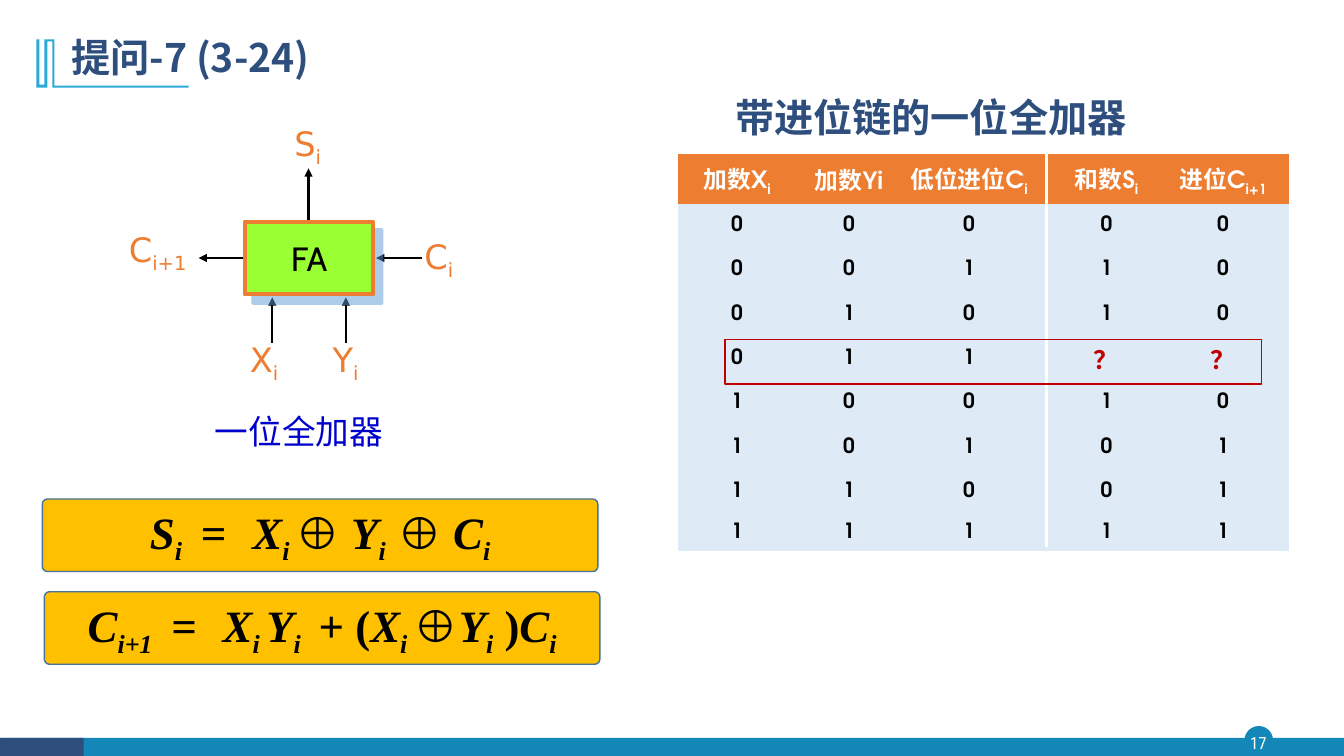
from dataclasses import dataclass

from lxml import etree
from pptx import Presentation
from pptx.dml.color import RGBColor
from pptx.enum.shapes import MSO_CONNECTOR, MSO_SHAPE
from pptx.enum.text import MSO_ANCHOR, MSO_AUTO_SIZE, PP_ALIGN
from pptx.oxml.ns import qn
from pptx.util import Inches, Pt

RECT, ROUNDED, OVAL = MSO_SHAPE.RECTANGLE, MSO_SHAPE.ROUNDED_RECTANGLE, MSO_SHAPE.OVAL
LEFT, CENTER = PP_ALIGN.LEFT, PP_ALIGN.CENTER
TOP, MIDDLE = MSO_ANCHOR.TOP, MSO_ANCHOR.MIDDLE


@dataclass(frozen=True)
class Theme:
    navy: str = "2E4E7E"
    teal: str = "1387B7"
    cyan: str = "28A9D6"
    orange: str = "ED7D31"
    green: str = "99FF33"
    gold: str = "FFC000"
    gold_edge: str = "43739E"
    pale: str = "DEEBF7"
    red: str = "C00000"
    blue: str = "0000CC"
    shadow: str = "5B9BD5"
    black: str = "000000"
    white: str = "FFFFFF"
    cjk: str = "Noto Sans CJK SC"
    signal: str = "DejaVu Sans"
    adder: str = "Cabin"
    formula: str = "Times New Roman"
    table: str = "TeX Gyre Adventor"
    number: str = "Roboto Condensed"
    title_size: int = 28
    formula_size: int = 32
    label_size: int = 24
    unknown_size: int = 18
    header_size: int = 17
    cell_size: int = 15
    number_size: int = 12


T = Theme()

# Content: "_" marks a subscript, "^" upright text, "~" loosely spaced text
QUESTION = "提问-7 (3-24)"
TITLE = "带进位链的一位全加器"
CAPTION = "一位全加器"
ADDER = "FA"
PAGE = "17"
SIGNALS = [  # pieces, left, top
    (["S", "_i"], 2.82, 1.17),
    (["X", "_i"], 2.38, 3.31),
    (["Y", "_i"], 3.2, 3.31),
    (["C", "_i"], 4.11, 2.29),
    (["C", "_i+1"], 1.18, 2.22),
]
ARROWS = [  # start, tip
    ((4.19, 2.56), (3.73, 2.56)),
    ((2.43, 2.56), (1.97, 2.56)),
    ((2.7, 3.4), (2.7, 2.95)),
    ((3.43, 3.4), (3.43, 2.95)),
    ((3.06, 2.2), (3.06, 1.67)),
]
FORMULAS = [  # pieces, left, top
    (["S", "_i", "~ = ", "X", "_i ", "^⊕", " Y", "_i", "^ ⊕", " C", "_i"], 0.42, 4.95),
    (["C", "_i+1", "~ = ", "X", "_i ", "Y", "_i ", "^ + (", "X", "_i ", "^⊕",
      "Y", "_i", "^ )", "C", "_i"], 0.44, 5.87),
]
HEADERS = [["加数X", "_i"], ["加数Yi"], ["低位进位C", "_i"], ["和数S", "_i"], ["进位C", "_i+1"]]
TRUTH = ["00000", "00110", "01010", "011？？", "10010", "10101", "11001", "11111"]
COLUMN_EDGES = [6.72, 7.9, 8.94, 10.38, 11.57, 12.79]
ROW_HEIGHTS = [0.49] + [0.44] * 7 + [0.37]
TABLE_TOP = 1.53
BRACKET = [(0.54, 0.39), (0.54, 0.85), (1.87, 0.85), (1.87, 0.87), (0.52, 0.87), (0.52, 0.41),
           (0.47, 0.41), (0.47, 0.87), (0.36, 0.87), (0.36, 0.39), (0.39, 0.39), (0.39, 0.84),
           (0.44, 0.84), (0.44, 0.39)]

prs = Presentation()
prs.slide_width, prs.slide_height = Inches(13.33), Inches(7.5)
slide = prs.slides.add_slide(prs.slide_layouts[5])
shapes = slide.shapes


def rgb(value):
    return RGBColor.from_string(value)


def write(frame, pieces, size, color, face, bold=False, italic=False, align=CENTER):
    paragraph = frame.paragraphs[0]
    paragraph.alignment = align
    for piece in pieces:
        mark = piece[0] if piece[0] in "_^~" else ""
        run = paragraph.add_run()
        run.text = piece[len(mark):]
        run.font.size, run.font.name = Pt(size), face
        run.font.bold, run.font.italic = bold, italic and mark != "^"
        run.font.color.rgb = rgb(color)
        props = run.font._element
        if mark == "_":
            props.set("baseline", "-25000")
        if mark == "~":
            props.set("spc", "530")
        if face != T.formula:
            east_asian = etree.Element(qn("a:ea"), typeface=T.cjk)
            props.find(qn("a:latin")).addnext(east_asian)
    return paragraph


def label(box, pieces, size, color, face, anchor=TOP, margin=None, **style):
    frame = shapes.add_textbox(*map(Inches, box)).text_frame
    frame.word_wrap, frame.vertical_anchor = True, anchor
    if margin is not None:
        frame.margin_left = frame.margin_right = Inches(margin)
        frame.margin_top = frame.margin_bottom = Inches(margin)
    return write(frame, pieces, size, color, face, **style)


def block(kind, box, fill=None, edge=None, width=1):
    shape = shapes.add_shape(kind, *map(Inches, box))
    paint(shape, fill, edge, width)
    return shape


def paint(shape, fill, edge=None, width=1):
    shape.shadow.inherit = False
    if fill:
        shape.fill.solid()
        shape.fill.fore_color.rgb = rgb(fill)
    else:
        shape.fill.background()
    if edge:
        shape.line.color.rgb = rgb(edge)
        shape.line.width = Pt(width)
    else:
        shape.line.fill.background()


def line(start, end, color, width, arrow=False):
    connector = shapes.add_connector(MSO_CONNECTOR.STRAIGHT, *map(Inches, start + end))
    connector.line.color.rgb = rgb(color)
    connector.line.width = Pt(width)
    props = connector.element.spPr
    if arrow:
        etree.SubElement(props.find(qn("a:ln")), qn("a:tailEnd"), type="triangle")
    etree.SubElement(props, qn("a:effectLst"))


# Page furniture
block(OVAL, (12.35, 7.21, 0.27, 0.27), T.teal, T.teal)
block(RECT, (0.01, 7.32, 13.32, 0.19), T.teal)
block(RECT, (0, 7.32, 0.83, 0.19), T.navy)
label((12.32, 7.21, 0.32, 0.31), [PAGE], T.number_size, T.white, T.number, MIDDLE, 0)
corners = [(Inches(x), Inches(y)) for x, y in BRACKET]
outline = shapes.build_freeform(*corners[0], scale=1.0)
outline.add_line_segments(corners[1:], close=True)
paint(outline.convert_to_shape(), T.cyan)

# Headings
heading = label((0.61, 0.25, 11.5, 0.68), [QUESTION], T.title_size, T.navy, T.cjk, MIDDLE,
                bold=True, align=LEFT)
heading.line_spacing = 0.9
title = shapes.title
title.left, title.top, title.width, title.height = map(Inches, (7.19, 0.85, 5.94, 0.68))
title.text_frame.auto_size = MSO_AUTO_SIZE.NONE
title.text_frame.vertical_anchor = MIDDLE
write(title.text_frame, [TITLE], T.title_size, T.navy, T.cjk, bold=True,
      align=LEFT).line_spacing = 0.9

# Full adder diagram
for start, tip in ARROWS:
    line(start, tip, T.black, 1.5, arrow=True)
for pieces, left, top in SIGNALS:
    label((left, top, 0.82, 0.51), pieces, T.label_size, T.orange, T.signal, align=LEFT)
adder = block(RECT, (2.43, 2.2, 1.27, 0.72), T.green, T.orange, 3)
adder.text_frame.word_wrap = False
adder.text_frame.vertical_anchor = MIDDLE
write(adder.text_frame, [ADDER], T.label_size, T.black, T.adder)
cast = etree.SubElement(adder.element.spPr.find(qn("a:effectLst")), qn("a:outerShdw"),
                        blurRad="0", dist=str(Pt(8.5)), dir=str(45 * 60000),
                        algn="ctr", rotWithShape="0")
tint = etree.SubElement(cast, qn("a:srgbClr"), val=T.shadow)
etree.SubElement(tint, qn("a:alpha"), val="50000")
label((0.66, 4.03, 4.61, 0.51), [CAPTION], T.label_size, T.blue, T.cjk)

# Formulas
for pieces, left, top in FORMULAS:
    panel = block(ROUNDED, (left, top, 5.51, 0.72), T.gold, T.gold_edge)
    panel.adjustments[0] = 0.07
    panel.text_frame.vertical_anchor = MIDDLE
    write(panel.text_frame, pieces, T.formula_size, T.black, T.formula, bold=True, italic=True)

# Truth table
rows = [HEADERS] + [list(bits) for bits in TRUTH]
table_frame = shapes.add_table(
    len(rows), len(HEADERS), Inches(COLUMN_EDGES[0]), Inches(TABLE_TOP),
    Inches(COLUMN_EDGES[-1] - COLUMN_EDGES[0]), Inches(sum(ROW_HEIGHTS)))
truth_table = table_frame.table
truth_table.horz_banding = False
for style_id in table_frame.element.iter(qn("a:tableStyleId")):
    style_id.text = "{2D5ABB26-0587-4C30-8999-92F81FD0307C}"
for column, left, right in zip(truth_table.columns, COLUMN_EDGES, COLUMN_EDGES[1:]):
    column.width = Inches(right - left)
for r, (row, height) in enumerate(zip(rows, ROW_HEIGHTS)):
    truth_table.rows[r].height = Inches(height)
    for c, content in enumerate(row):
        cell = truth_table.cell(r, c)
        cell.margin_left = cell.margin_top = cell.margin_bottom = 0
        cell.margin_right = Inches(0.1 if c in (2, 4) else 0)
        cell.vertical_anchor = MIDDLE
        cell.fill.solid()
        cell.fill.fore_color.rgb = rgb(T.pale if r else T.orange)
        if r == 0:
            size, color = T.header_size, T.white
        elif content == "？":
            size, color = T.unknown_size, T.red
        else:
            size, color = T.cell_size, T.black
        write(cell.text_frame, content, size, color, T.table, bold=True)
line((COLUMN_EDGES[3], TABLE_TOP), (COLUMN_EDGES[3], 5.43), T.white, 2.25)
block(RECT, (7.19, 3.37, 5.32, 0.44), edge=T.red)

prs.save("out.pptx")
